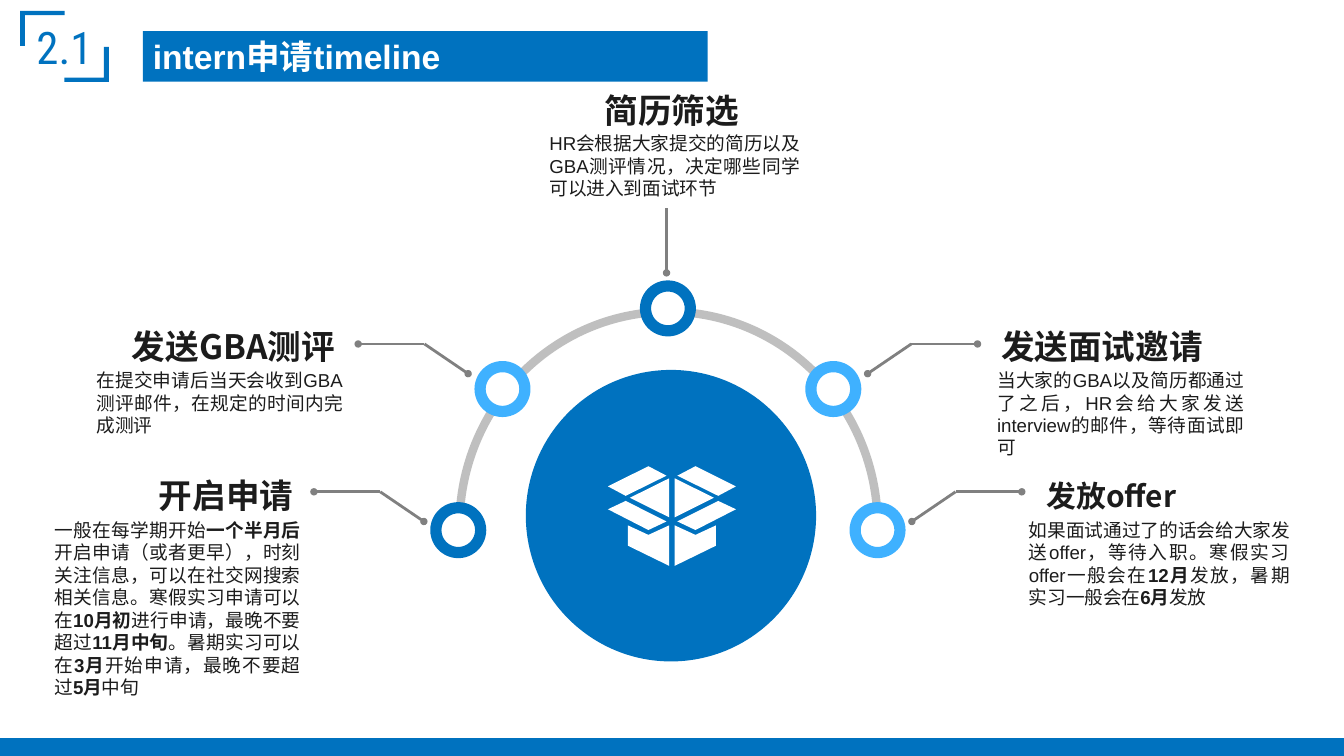
from lxml.etree import SubElement
from pptx import Presentation
from pptx.dml.color import RGBColor
from pptx.enum.shapes import MSO_CONNECTOR, MSO_SHAPE
from pptx.enum.text import MSO_ANCHOR, MSO_AUTO_SIZE, PP_ALIGN
from pptx.oxml.ns import qn
from pptx.util import Pt

THEME = {
    "blue": "0072BF", "sky": "3FB1FF", "gray": "808080", "arc": "BFBFBF",
    "ink": "1C1C1C", "white": "FFFFFF",
    "latin": "Arial", "chinese": "Noto Sans CJK SC", "number": "Roboto Condensed",
    "heading": 18, "small_heading": 16, "body": 10, "section": 24,
}
LEFT, CENTER, RIGHT, JUSTIFY = PP_ALIGN.LEFT, PP_ALIGN.CENTER, PP_ALIGN.RIGHT, PP_ALIGN.JUSTIFY

# Content: asterisks enclose bold words; boxes are left, top, width, height
SECTION, TITLE = "2.1", "intern申请timeline"
STEPS = [
    {"heading": "开启申请", "heading_box": (45.4, 257.8, 118.8, 15.1), "align": RIGHT,
     "text": "一般在每学期开始*一个半月后*开启申请（或者更早），时刻关注信息，可以在社交网搜索相关信息。"
             "寒假实习申请可以在*10月初*进行申请，最晚不要超过*11月中旬*。"
             "暑期实习可以在*3月*开始申请，最晚不要超过*5月*中旬",
     "text_box": (29.2, 277.9, 131.8, 97.2)},
    {"heading": "发送GBA测评", "heading_box": (42.5, 177.8, 144, 15.1), "align": RIGHT,
     "text": "在提交申请后当天会收到GBA测评邮件，在规定的时间内完成测评",
     "text_box": (51.8, 197.7, 131.8, 36)},
    {"heading": "简历筛选", "heading_box": (316.8, 44.6, 86.4, 28.8), "align": CENTER,
     "text": "HR会根据大家提交的简历以及GBA测评情况，决定哪些同学可以进入到面试环节",
     "text_box": (287.3, 67.3, 148.3, 43.2), "inset": (7.2, 3.6)},
    {"heading": "发送面试邀请", "heading_box": (529.2, 177.8, 146.2, 15.1), "align": LEFT,
     "text": "当大家的GBA以及简历都通过了之后，HR会给大家发送interview的邮件，等待面试即可",
     "text_box": (534.2, 197.7, 132.5, 48.2)},
    {"heading": "发放offer", "heading_box": (553.7, 257.8, 118.8, 15.1), "align": LEFT,
     "size": "small_heading",
     "text": "如果面试通过了的话会给大家发送offer，等待入职。寒假实习offer一般会在*12月*发放，"
             "暑期实习一般会在*6月*发放",
     "text_box": (551.2, 277.9, 139.7, 48.2)},
]

# Geometry: the nodes sit symmetrically around AXIS
AXIS = 357.8
NODES = [(-112.3, 284, "blue"), (-88.6, 208.4, "sky"), (0, 165.2, "blue"),
         (88.6, 208.4, "sky"), (112.3, 284, "sky")]
LEADER_DOT_Y = {284: 279.4, 208.4: 200.2}
NODE_SIZE, LEADER_GAP, LEADER_RUN, LEADER_RISE, LEADER_FLAT = 24, 18.4, 23.4, 15.9, 35.5

# Left half of the open box, x measured from the middle of the box
BOX_MIDDLE = 360
BOX_HALF = [
    [(-22.5, 266.7), (-1.5, 256.3), (-1.5, 277.2)],
    [(-24.8, 268.4), (-34.3, 272.9), (-12.6, 284), (-2.9, 279.4)],
    [(-12.6, 249.8), (-34.3, 260.6), (-24.8, 265.7), (-2.9, 254.9)],
    [(-23.6, 281.5), (-12.6, 286.6), (-1.5, 281.5), (-1.5, 303.2), (-23.6, 292.4)],
]
BRACKET = [(10.8, 5.8), (34.6, 5.8), (34.6, 8.1), (13.4, 8.1), (13.4, 24.6), (10.8, 24.6)]
BRACKET_SUM = (69.1, 49.7)


def color(name):
    return RGBColor.from_string(THEME[name])


def style(shape, fill=None, line=None, width=0):
    shape.shadow.inherit = False
    if fill:
        shape.fill.solid()
        shape.fill.fore_color.rgb = color(fill)
    else:
        shape.fill.background()
    if line:
        shape.line.color.rgb = color(line)
        shape.line.width = Pt(width)
    else:
        shape.line.fill.background()
    return shape


def add_shape(slide, kind, box, **look):
    return style(slide.shapes.add_shape(kind, *map(Pt, box)), **look)


def add_outline(slide, contours, fill):
    builder = None
    for contour in contours:
        points = [(Pt(x), Pt(y)) for x, y in contour]
        if builder is None:
            builder = slide.shapes.build_freeform(*points[0], scale=1.0)
        else:
            builder.move_to(*points[0])
        builder.add_line_segments(points[1:], close=True)
    return style(builder.convert_to_shape(), fill=fill)


def add_line(slide, start, end, head=False, tail=False):
    line = slide.shapes.add_connector(MSO_CONNECTOR.STRAIGHT, *map(Pt, start + end))
    line.line.color.rgb = color("gray")
    line.line.width = Pt(1.5)
    outline = line.line._get_or_add_ln()
    for tag, wanted in (("a:headEnd", head), ("a:tailEnd", tail)):
        if wanted:
            SubElement(outline, qn(tag), type="oval", w="sm", len="sm")
    SubElement(line._element.spPr, qn("a:effectLst"))


def write(shape, text, size="body", font="latin", ink="ink", bold=False, align=LEFT,
          anchor=MSO_ANCHOR.TOP, inset=(7.2, 3.6), wrap=True, fit=MSO_AUTO_SIZE.NONE):
    frame = shape.text_frame
    frame.word_wrap, frame.auto_size, frame.vertical_anchor = wrap, fit, anchor
    frame.margin_left = frame.margin_right = Pt(inset[0])
    frame.margin_top = frame.margin_bottom = Pt(inset[1])
    paragraph = frame.paragraphs[0]
    paragraph.alignment = align
    for index, part in enumerate(text.split("*")):
        run = paragraph.add_run()
        run.text = part
        run.font.size = Pt(THEME[size])
        run.font.bold = bold or index % 2 == 1
        run.font.color.rgb = color(ink)
        run.font.name = THEME[font]
        SubElement(run.font._element, qn("a:ea"), typeface=THEME["chinese"])


def add_leader(slide, offset, node_y):
    if offset == 0:
        add_line(slide, (AXIS - 0.7, 146.2), (AXIS - 0.7, 111.6), head=True)
        return
    side = 1 if offset > 0 else -1
    dot = (AXIS + offset + side * LEADER_GAP, LEADER_DOT_Y[node_y])
    elbow = (dot[0] + side * LEADER_RUN, dot[1] - LEADER_RISE)
    end = (elbow[0] + side * LEADER_FLAT, elbow[1])
    add_line(slide, dot, elbow, head=True)
    add_line(slide, elbow, end, tail=True)


def add_step(slide, step):
    middle = step["align"] == CENTER
    grow = MSO_AUTO_SIZE.SHAPE_TO_FIT_TEXT
    heading = slide.shapes.add_textbox(*map(Pt, step["heading_box"]))
    write(heading, step["heading"], size=step.get("size", "heading"), font="chinese",
          bold=True, align=step["align"], wrap=not middle,
          anchor=MSO_ANCHOR.TOP if middle else MSO_ANCHOR.MIDDLE,
          fit=grow if middle else MSO_AUTO_SIZE.NONE)
    body = slide.shapes.add_textbox(*map(Pt, step["text_box"]))
    write(body, step["text"], align=JUSTIFY, inset=step.get("inset", (0, 0)), fit=grow)


def main():
    presentation = Presentation()
    presentation.slide_width, presentation.slide_height = Pt(720), Pt(405)
    slide = presentation.slides.add_slide(presentation.slide_layouts[5])

    # Title bar and section number
    title = slide.shapes.title
    title.left, title.top, title.width, title.height = map(Pt, (76.5, 16.6, 302.6, 27.2))
    title.fill.solid()
    title.fill.fore_color.rgb = color("blue")
    write(title, TITLE, size="heading", ink="white", bold=True,
          anchor=MSO_ANCHOR.MIDDLE, inset=(5.4, 2.7))
    opposite = [(BRACKET_SUM[0] - x, BRACKET_SUM[1] - y) for x, y in BRACKET]
    brackets = add_outline(slide, [BRACKET, opposite], "blue")
    write(brackets, SECTION, size="section", font="number", ink="blue", align=CENTER,
          anchor=MSO_ANCHOR.MIDDLE, inset=(5.4, 2.7))

    # Half circle with its nodes and leaders
    arc = add_shape(slide, MSO_SHAPE.ARC, (AXIS - 111.6, 167, 224, 229), line="arc", width=4.5)
    arc.adjustments[0], arc.adjustments[1] = 108, 0  # 180 and 0 degrees
    for offset, y, ring in NODES:
        box = (AXIS + offset - NODE_SIZE / 2, y - NODE_SIZE / 2, NODE_SIZE, NODE_SIZE)
        add_shape(slide, MSO_SHAPE.OVAL, box, fill="white", line=ring, width=6)
        add_leader(slide, offset, y)

    # Disc with the open box
    add_shape(slide, MSO_SHAPE.OVAL, (281.7, 198.2, 155.5, 156.2), fill="blue")
    add_outline(slide, [[(BOX_MIDDLE + side * x, y) for x, y in part]
                        for side in (1, -1) for part in BOX_HALF], "white")

    # Step texts and footer band
    for step in STEPS:
        add_step(slide, step)
    add_shape(slide, MSO_SHAPE.RECTANGLE, (0, 395.5, 720, 9.5), fill="blue")

    presentation.save("out.pptx")


if __name__ == "__main__":
    main()
